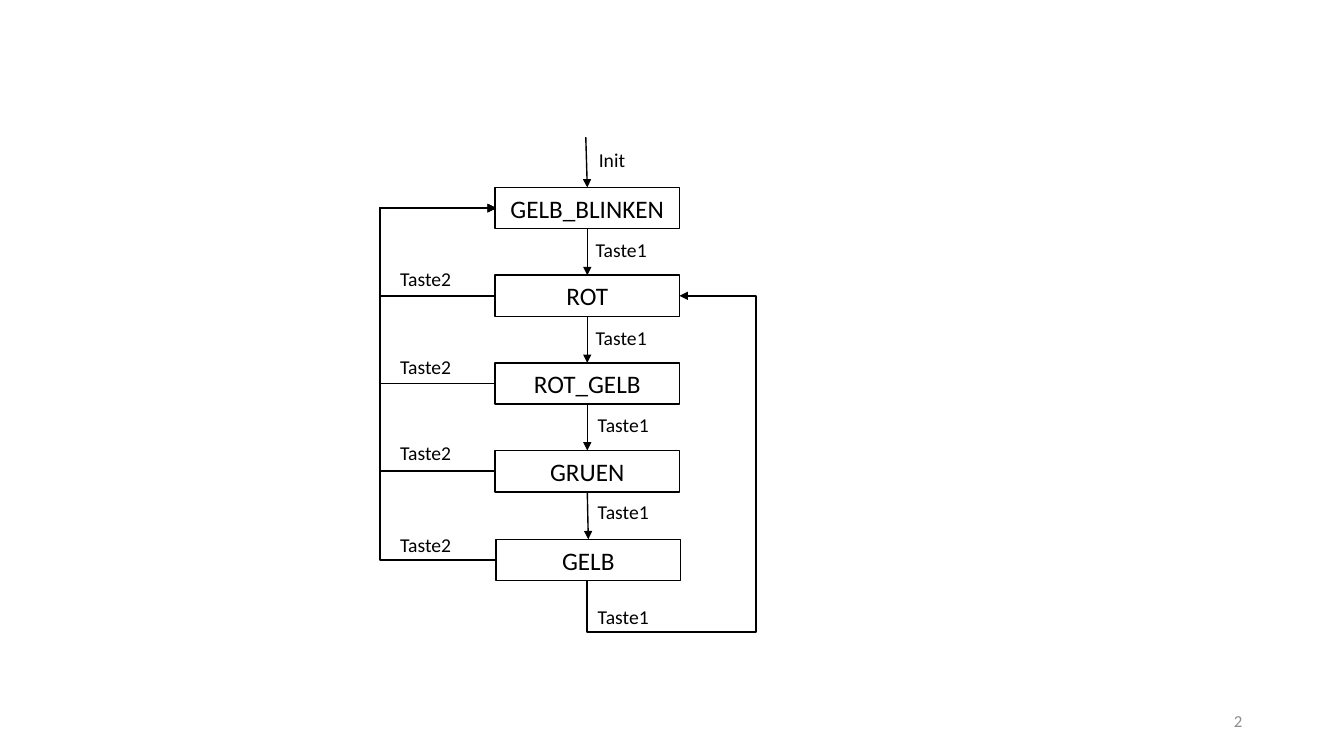
from pptx import Presentation
from pptx.dml.color import RGBColor
from pptx.enum.shapes import MSO_CONNECTOR, MSO_SHAPE
from pptx.enum.text import MSO_ANCHOR, PP_ALIGN
from pptx.oxml.ns import qn
from pptx.util import Inches, Pt
from lxml import etree

RECTANGLE = MSO_SHAPE.RECTANGLE
STRAIGHT = MSO_CONNECTOR.STRAIGHT
MIDDLE, TOP_ANCHOR = MSO_ANCHOR.MIDDLE, MSO_ANCHOR.TOP
LEFT, CENTER, RIGHT = PP_ALIGN.LEFT, PP_ALIGN.CENTER, PP_ALIGN.RIGHT
TOP_SIDE, BOTTOM_SIDE = 0, 2
BLACK, GREY = "000000", "8C8C8C"

deck = Presentation()
deck.slide_width, deck.slide_height = Inches(13.33), Inches(7.5)
page = deck.slides.add_slide(deck.slide_layouts[6])


def write(box, text, size, color=BLACK, align=LEFT, anchor=TOP_ANCHOR):
    frame = box.text_frame
    frame.word_wrap = True
    frame.vertical_anchor = anchor
    frame.text = text
    para = frame.paragraphs[0]
    para.alignment = align
    font = para.runs[0].font
    font.name, font.size = "Calibri", Pt(size)
    font.color.rgb = RGBColor.from_string(color)


def style_arrow(arrow):
    arrow.line.color.rgb = RGBColor.from_string(BLACK)
    arrow.line.width = Pt(1)
    head = etree.SubElement(arrow.line._get_or_add_ln(), qn("a:tailEnd"))
    head.set("type", "triangle")


# States
STATE_WIDTH, STATE_HEIGHT = 1.83, 0.41
states = [("GELB_BLINKEN", 4.91, 1.86), ("ROT", 4.91, 2.73), ("ROT_GELB", 4.91, 3.6),
          ("GRUEN", 4.91, 4.47), ("GELB", 4.92, 5.35)]
state_boxes = []
for name, left, top in states:
    box = page.shapes.add_shape(RECTANGLE, Inches(left), Inches(top),
                                Inches(STATE_WIDTH), Inches(STATE_HEIGHT))
    box.shadow.inherit = False
    box.fill.background()
    box.line.color.rgb = RGBColor.from_string(BLACK)
    box.line.width = Pt(1)
    write(box, name, 18, align=CENTER, anchor=MIDDLE)
    state_boxes.append(box)

# Straight transitions: entry arrow first, then one state to the next
for source, target in zip([None] + state_boxes, state_boxes):
    arrow = page.shapes.add_connector(STRAIGHT, Inches(5.81), Inches(1.36),
                                      Inches(5.82), Inches(1.86))
    if source is not None:
        arrow.begin_connect(source, BOTTOM_SIDE)
    arrow.end_connect(target, TOP_SIDE)
    style_arrow(arrow)
    etree.SubElement(arrow._element.spPr, qn("a:effectLst"))

# Angled transitions: back to GELB_BLINKEN on the left, GELB to ROT on the right
LOOP_LEFT, LOOP_RIGHT, LOOP_BOTTOM = 3.77, 7.5, 6.27
middles = [top + STATE_HEIGHT / 2 for name, left, top in states]
routes = [[(4.92, middle), (LOOP_LEFT, middle), (LOOP_LEFT, middles[0]), (4.92, middles[0])]
          for middle in middles[1:]]
routes.append([(5.82, 5.76), (5.82, LOOP_BOTTOM), (LOOP_RIGHT, LOOP_BOTTOM),
               (LOOP_RIGHT, middles[1]), (6.74, middles[1])])
for route in routes:
    points = [(Inches(x), Inches(y)) for x, y in route]
    builder = page.shapes.build_freeform(*points[0])
    builder.add_line_segments(points[1:], close=False)
    loop = builder.convert_to_shape()
    loop.shadow.inherit = False
    loop.fill.background()
    style_arrow(loop)

# Transition labels
labels = [("Init", 5.84, 1.42),
          ("Taste1", 5.81, 2.31), ("Taste1", 5.81, 3.18), ("Taste1", 5.83, 4.05),
          ("Taste1", 5.83, 4.91), ("Taste1", 5.83, 5.95),
          ("Taste2", 3.87, 2.6), ("Taste2", 3.87, 3.47), ("Taste2", 3.87, 4.33),
          ("Taste2", 3.87, 5.24)]
for text, left, top in labels:
    label = page.shapes.add_textbox(Inches(left), Inches(top), Inches(0.92), Inches(0.34))
    write(label, text, 14)

# Page number
number = page.shapes.add_textbox(Inches(9.42), Inches(6.95), Inches(3), Inches(0.4))
write(number, "2", 12, color=GREY, align=RIGHT, anchor=MIDDLE)

deck.save("out.pptx")
